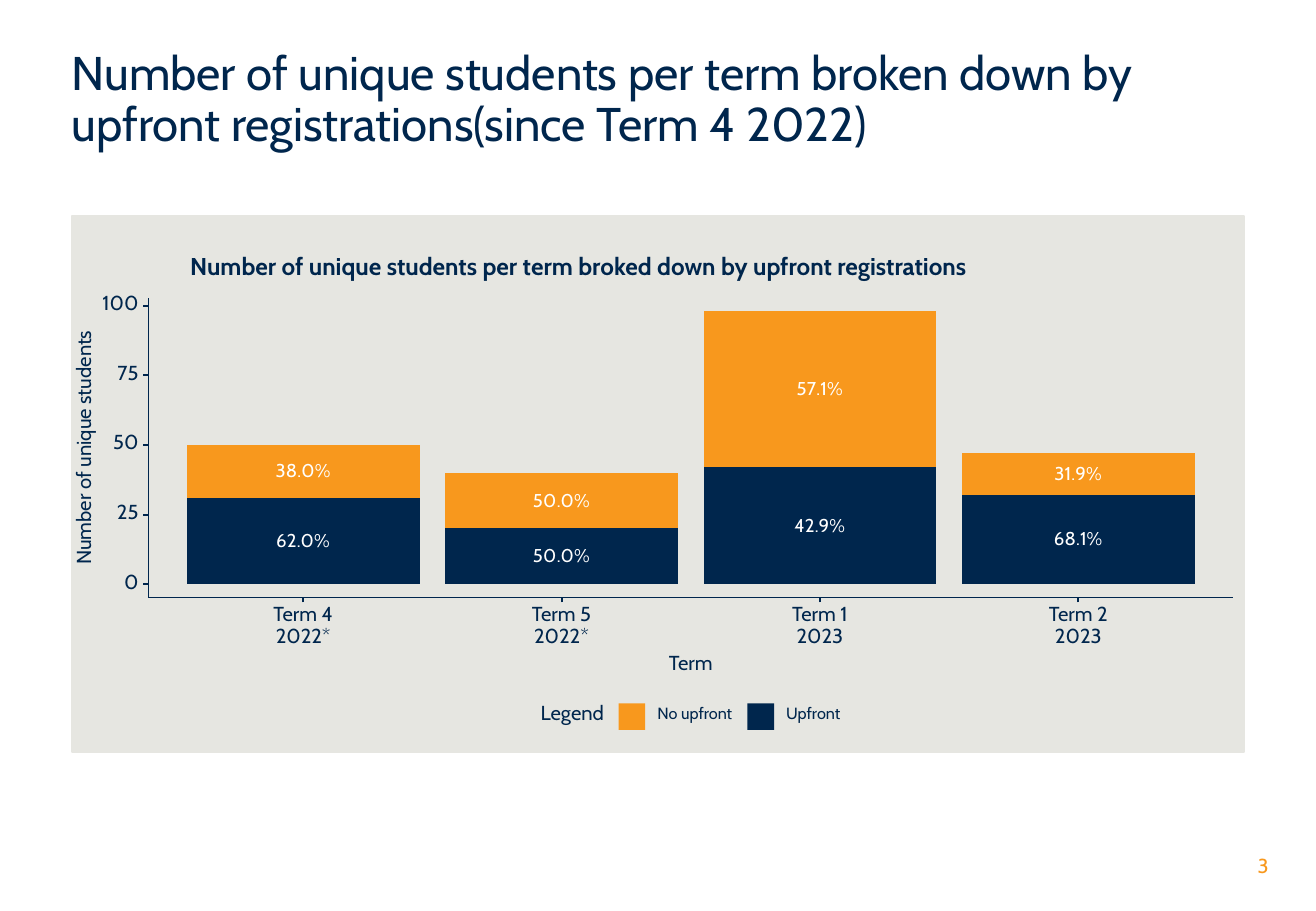
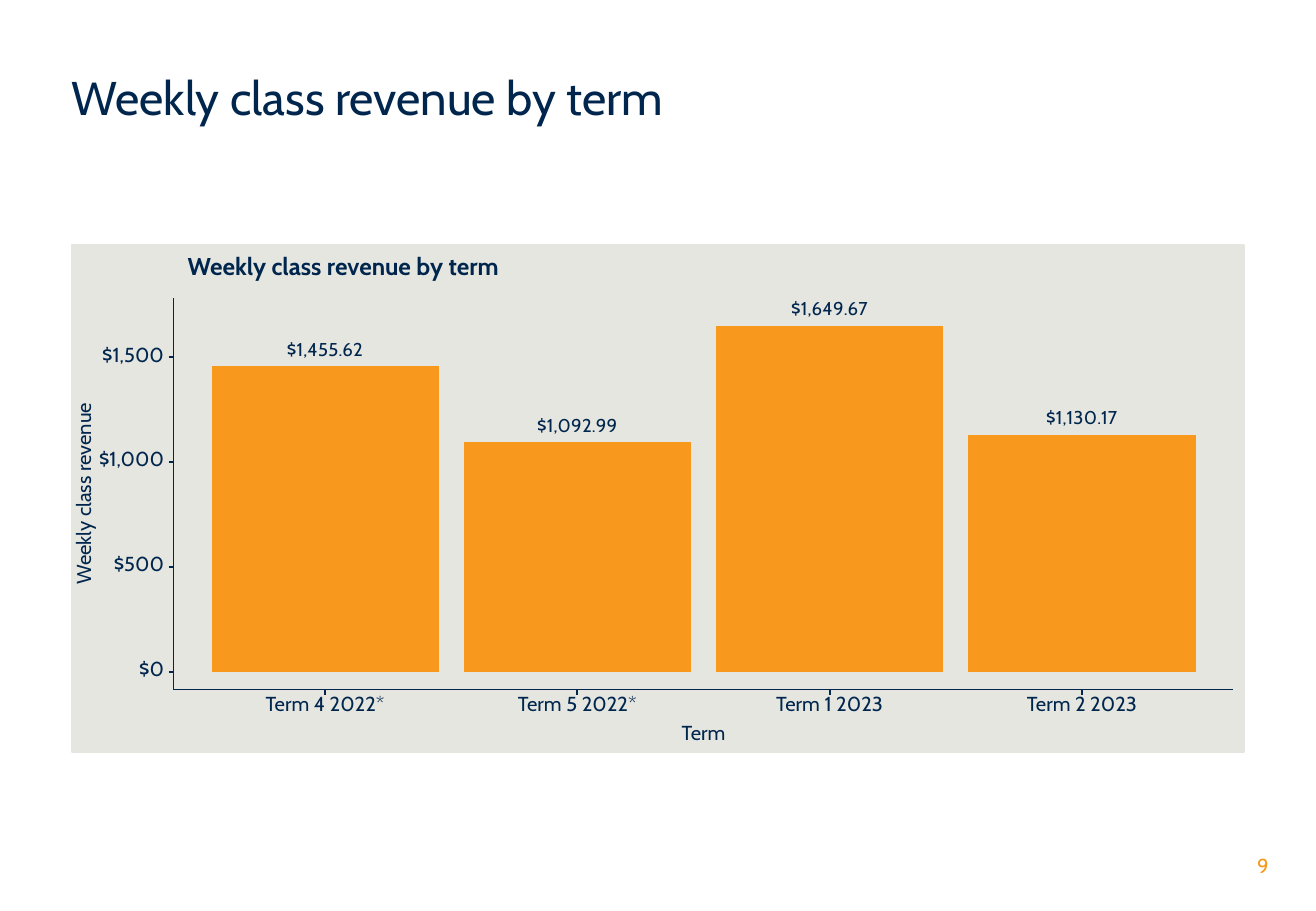
from dataclasses import dataclass

from lxml import etree
from pptx import Presentation
from pptx.chart.data import CategoryChartData
from pptx.dml.color import RGBColor
from pptx.enum import chart as ch, shapes, text
from pptx.oxml import parse_xml
from pptx.oxml.ns import nsdecls, qn
from pptx.util import Inches, Pt


@dataclass(frozen=True)
class Theme:
    font: str = "Cabin"
    navy: RGBColor = RGBColor(0x00, 0x26, 0x4D)
    orange: RGBColor = RGBColor(0xF8, 0x98, 0x1D)
    panel: RGBColor = RGBColor(0xE6, 0xE6, 0xE1)
    white: RGBColor = RGBColor(0xFF, 0xFF, 0xFF)
    title: float = 28
    heading: float = 14.4
    body: float = 12
    value: float = 11
    legend: float = 9.6


T = Theme()
ALIGN = text.PP_ALIGN
PANEL_LEFT, PANEL_WIDTH, PANEL_BOTTOM = 0.59, 9.65, 6.19
AXIS_TOP, AXIS_RIGHT, TICK = 2.45, 10.15, 0.04

SLIDES = [
    dict(
        number="3",
        title="Number of unique students per term broken down by upfront registrations(since Term 4 2022)",
        heading="Number of unique students per term broked down by upfront registrations",
        heading_width=7.08,
        value_title="Number of unique students",
        terms=["Term 4\n2022*", "Term 5\n2022*", "Term 1\n2023", "Term 2\n2023"],
        series=[("Upfront", T.navy, [31, 20, 42, 32]),
                ("No upfront", T.orange, [19, 20, 56, 15])],
        ticks=["0", "25", "50", "75", "100"],
        unit=25, unit_height=0.573,
        panel_top=1.78, left=1.22, zero=4.81, base=4.92,
        term_gap=0.23, axis_title_gap=0.55,
    ),
    dict(
        number="9",
        title="Weekly class revenue by term",
        heading="Weekly class revenue by term",
        heading_width=2.79,
        value_title="Weekly class revenue",
        terms=["Term 4 2022*", "Term 5 2022*", "Term 1 2023", "Term 2 2023"],
        series=[("Weekly class revenue", T.orange, [1455.62, 1092.99, 1649.67, 1130.17])],
        ticks=["$0", "$500", "$1,000", "$1,500"],
        unit=500, unit_height=0.863,
        panel_top=2.02, left=1.43, zero=5.53, base=5.68,
        term_gap=0.13, axis_title_gap=0.37,
    ),
]


def add_label(s, words, x, y, w, h=0.2, size=T.body, color=T.navy, align=ALIGN.CENTER, bold=False):
    sp = s.shapes.add_textbox(Inches(x), Inches(y - h / 2), Inches(w), Inches(h))
    tf = sp.text_frame
    tf.word_wrap = True
    tf.vertical_anchor = text.MSO_ANCHOR.MIDDLE
    tf.margin_left = tf.margin_right = tf.margin_top = tf.margin_bottom = 0
    for i, line in enumerate(words.split("\n")):
        p = tf.paragraphs[0] if i == 0 else tf.add_paragraph()
        p.alignment = align
        p.line_spacing = Pt(size + 1 if "\n" in words else size)
        r = p.add_run()
        r.text = line
        r.font.name, r.font.size, r.font.bold = T.font, Pt(size), bold
        r.font.color.rgb = color
    return sp


def add_box(s, x, y, w, h, color):
    sp = s.shapes.add_shape(shapes.MSO_SHAPE.RECTANGLE, Inches(x), Inches(y), Inches(w), Inches(h))
    sp.shadow.inherit = False
    sp.fill.solid()
    sp.fill.fore_color.rgb = color
    sp.line.fill.background()
    return sp


prs = Presentation()
prs.slide_width, prs.slide_height = Inches(10.83), Inches(7.5)

for d in SLIDES:
    s = prs.slides.add_slide(prs.slide_layouts[5])
    left, zero, base = d["left"], d["zero"], d["base"]

    title = s.shapes.title
    title.left, title.top, title.width, title.height = (Inches(v) for v in (0.59, 0.55, 9.65, 0.55))
    tf = title.text_frame
    tf.margin_left = tf.margin_right = 0
    tf.vertical_anchor = text.MSO_ANCHOR.MIDDLE
    tf.auto_size = text.MSO_AUTO_SIZE.SHAPE_TO_FIT_TEXT
    p = tf.paragraphs[0]
    p.alignment, p.line_spacing = ALIGN.LEFT, 0.9
    r = p.add_run()
    r.text = d["title"]
    r.font.name, r.font.size, r.font.color.rgb = T.font, Pt(T.title), T.navy

    add_label(s, d["number"], 9.67, 7.14, 0.77, color=T.orange, align=ALIGN.RIGHT)

    panel_top = d["panel_top"]
    panel_height = PANEL_BOTTOM - panel_top
    panel = add_box(s, PANEL_LEFT, panel_top, PANEL_WIDTH, panel_height, T.panel)
    panel.line.color.rgb, panel.line.width = T.panel, Pt(1.16)

    step = (AXIS_RIGHT - left) / (len(d["terms"]) + 0.2)
    stacked = len(d["series"]) > 1
    data = CategoryChartData()
    data.categories = [term.replace("\n", " ") for term in d["terms"]]
    for name, color, values in d["series"]:
        data.add_series(name, values)
    kind = ch.XL_CHART_TYPE.COLUMN_STACKED if stacked else ch.XL_CHART_TYPE.COLUMN_CLUSTERED
    chart = s.shapes.add_chart(kind, Inches(PANEL_LEFT), Inches(panel_top),
                               Inches(PANEL_WIDTH), Inches(panel_height), data).chart
    chart.has_title = chart.has_legend = False
    chart.font.name, chart.font.size, chart.font.color.rgb = T.font, Pt(T.value), T.navy
    axis = chart.value_axis
    axis.minimum_scale, axis.major_unit = 0, d["unit"]
    axis.maximum_scale = round((zero - AXIS_TOP) / d["unit_height"] * d["unit"])
    axis.has_major_gridlines = False
    axis.visible = chart.category_axis.visible = False

    plot = chart.plots[0]
    plot.gap_width, plot.vary_by_categories = 11, False
    plot.overlap = 100 if stacked else 0
    totals = [sum(column) for column in zip(*(values for _, _, values in d["series"]))]
    for series, (name, color, values) in zip(plot.series, d["series"]):
        series.format.fill.solid()
        series.format.fill.fore_color.rgb = color
        if stacked:
            for i, (value, total) in enumerate(zip(values, totals)):
                label = series.points[i].data_label
                r = label.text_frame.paragraphs[0].add_run()
                r.text = f"{value / total:.1%}"
                r.font.name, r.font.size, r.font.color.rgb = T.font, Pt(T.value), T.white
                label.position = ch.XL_LABEL_POSITION.CENTER
        else:
            labels = series.data_labels
            labels.show_value = True
            labels.number_format, labels.number_format_is_linked = "$#,##0.00", False
            labels.position = ch.XL_LABEL_POSITION.OUTSIDE_END
            labels.font.name, labels.font.size, labels.font.color.rgb = T.font, Pt(T.value), T.navy

    area = chart.element.find(qn("c:chart")).find(qn("c:plotArea"))
    for old in area.findall(qn("c:layout")):
        area.remove(old)
    layout = etree.Element(qn("c:layout"))
    manual = etree.SubElement(layout, qn("c:manualLayout"))
    for tag, val in [
        ("layoutTarget", "inner"), ("xMode", "edge"), ("yMode", "edge"),
        ("x", (left + 0.1 * step - PANEL_LEFT) / PANEL_WIDTH),
        ("y", (AXIS_TOP - panel_top) / panel_height),
        ("w", step * len(d["terms"]) / PANEL_WIDTH),
        ("h", (zero - AXIS_TOP) / panel_height),
    ]:
        etree.SubElement(manual, qn("c:" + tag)).set("val", str(val))
    area.insert(0, layout)
    no_fill = f'<c:spPr {nsdecls("c", "a")}><a:noFill/><a:ln><a:noFill/></a:ln></c:spPr>'
    area.append(parse_xml(no_fill))
    chart.element.find(qn("c:chart")).addnext(parse_xml(no_fill))

    lines = [(left, base, left, AXIS_TOP, 0.57), (left, base, AXIS_RIGHT, base, 0.57)]
    for i, tick in enumerate(d["ticks"]):
        y = zero - i * d["unit_height"]
        lines.append((left - TICK, y, left, y, 1.16))
        add_label(s, tick, left - 0.68, y - 0.01, 0.6, align=ALIGN.RIGHT)
    for i, term in enumerate(d["terms"]):
        x = left + (i + 0.6) * step
        lines.append((x, base + TICK, x, base, 1.16))
        add_label(s, term, x - 0.6, base + d["term_gap"], 1.2, h=0.36 if "\n" in term else 0.18)
    for x1, y1, x2, y2, width in lines:
        line = s.shapes.add_connector(shapes.MSO_CONNECTOR.STRAIGHT,
                                      Inches(x1), Inches(y1), Inches(x2), Inches(y2))
        line.line.color.rgb, line.line.width = T.navy, Pt(width)
        etree.SubElement(line.element.spPr, qn("a:effectLst"))

    add_label(s, "Term", (left + AXIS_RIGHT) / 2 - 0.3, base + d["axis_title_gap"], 0.6)
    add_label(s, d["value_title"], -0.4, (AXIS_TOP + base) / 2, 2.2).rotation = 270
    add_label(s, d["heading"], left, 2.21, d["heading_width"], size=T.heading, bold=True)

    if stacked:
        add_label(s, "Legend", 4.45, 5.88, 0.6, align=ALIGN.LEFT)
        for i, (name, color, values) in enumerate(reversed(d["series"])):
            x = 5.09 + i * 1.06
            add_box(s, x, 5.79, 0.22, 0.22, color)
            add_label(s, name, x + 0.32, 5.88, 0.72, size=T.legend, align=ALIGN.LEFT)

prs.save("out.pptx")
